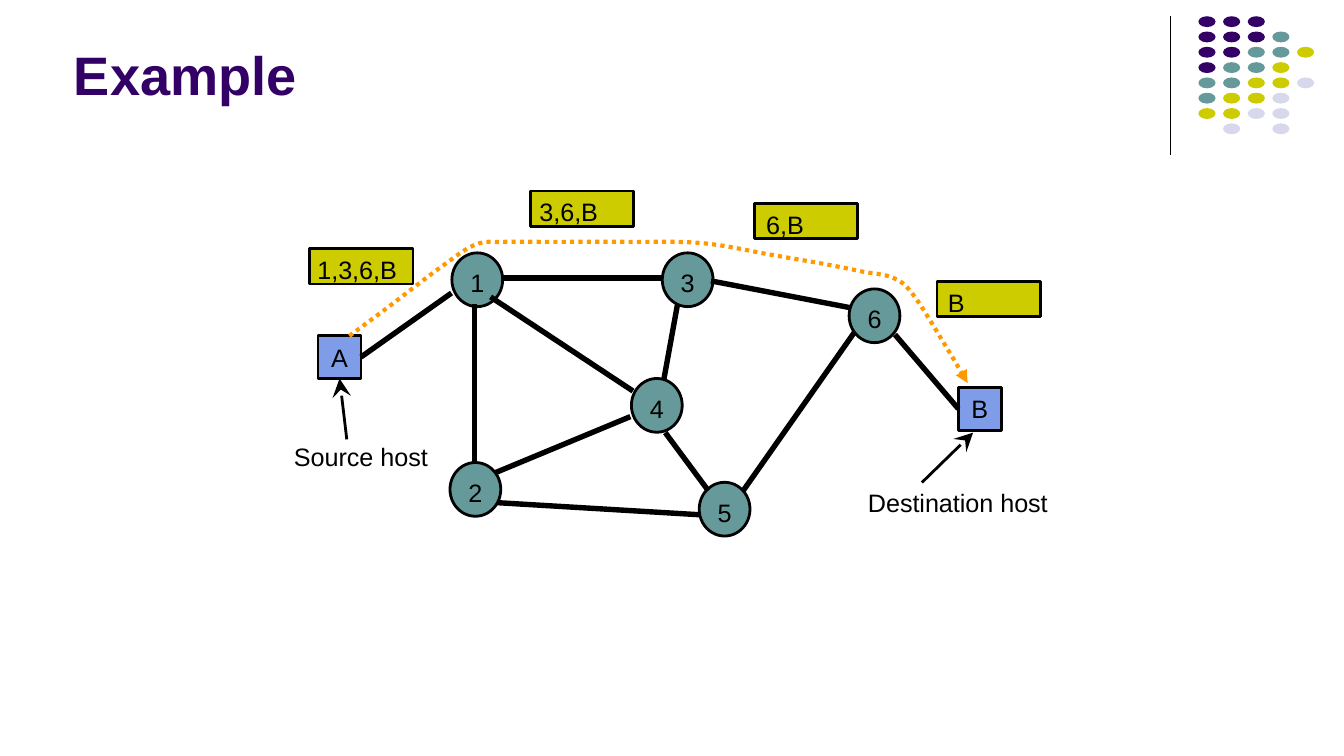
import pptx
import pptx.dml.color
import pptx.enum.dml
import pptx.enum.shapes
import pptx.enum.text
import pptx.oxml
import pptx.oxml.ns
import pptx.util

Pt = pptx.util.Pt
Shape = pptx.enum.shapes.MSO_SHAPE
Align = pptx.enum.text.PP_ALIGN
Anchor = pptx.enum.text.MSO_ANCHOR

COLORS = {
    "black": "000000",
    "purple": "330066",
    "teal": "669999",
    "lime": "CCCC00",
    "pale": "D8D8EC",
    "blue": "7E9CE8",
    "orange": "FF9900",
}
DOTS = ["PPP", "PPPT", "PPTTL", "PTTL", "TTLLG", "TLLG", "LLGG", " G G"]
DOT_KEYS = {"P": "purple", "T": "teal", "L": "lime", "G": "pale"}

NODES = [  # label, left, top
    ("1", 242.1, 135.5), ("2", 241.1, 247.8), ("3", 354.8, 135.5),
    ("4", 338.3, 202.8), ("5", 374.6, 258.4), ("6", 454.9, 154.8),
]
HOSTS = [("A", 170.4, 179.8), ("B", 513.4, 207.5)]
PACKETS = [  # route, left, top, inset
    ("1,3,6,B", 165.7, 133.2, 4.3), ("3,6,B", 284, 102.4, 5),
    ("6,B", 404, 109, 6.5), ("B", 502, 150.8, 5.8),
]
EDGES = [
    (269.3, 149, 354.2, 149), (362.9, 163.4, 355.7, 203),
    (356.4, 231.8, 379.4, 262.8), (380.9, 150.5, 455.8, 164.9),
    (398.2, 262.8, 457.9, 177.8), (375.1, 275.8, 266.4, 269.3),
    (254.2, 162.7, 254.2, 248.4), (262.8, 159.1, 339.1, 209.5),
    (337.7, 223.2, 265, 253.4),
]
ROUTE = [
    (187.2, 180), (206.6, 165.6), (236.9, 142.6), (254.9, 131),
    (270, 129.6), (293.8, 129.6), (337, 129.6), (376.6, 130.3),
    (414.7, 136.8), (443.5, 141.8), (461.5, 145.4), (478.8, 149),
    (489.6, 158.4), (506.9, 185.8), (518.4, 205.2),
]


def rgb(key):
    return pptx.dml.color.RGBColor.from_string(COLORS[key])


def style(runs, size=13.5, key="black", bold=False):
    for run in runs:
        run.font.name = "Arial"
        run.font.size = Pt(size)
        run.font.bold = bold
        run.font.color.rgb = rgb(key)


def block(slide, kind, box, key, line=None):
    shape = slide.shapes.add_shape(kind, *map(Pt, box))
    shape.shadow.inherit = False
    shape.fill.solid()
    shape.fill.fore_color.rgb = rgb(key)
    if line:
        shape.line.color.rgb = rgb("black")
        shape.line.width = Pt(line)
    else:
        shape.line.fill.background()
    return shape


def write(shape, text, align=Align.CENTER, left=0, top=0):
    frame = shape.text_frame
    frame.margin_left, frame.margin_top = Pt(left), Pt(top)
    frame.margin_right = frame.margin_bottom = 0
    frame.vertical_anchor = Anchor.MIDDLE
    frame.word_wrap = False
    frame.text = text
    frame.paragraphs[0].alignment = align
    style(frame.paragraphs[0].runs)


def note(slide, text, box):
    write(slide.shapes.add_textbox(*map(Pt, box)), text, Align.LEFT)


def tip(shape, kind, size):
    """Add an arrowhead at the end of a line."""
    end = pptx.oxml.parse_xml(
        f'<a:tailEnd {pptx.oxml.ns.nsdecls("a")} type="{kind}" '
        f'w="{size}" len="{size}"/>')
    shape.line._get_or_add_ln().append(end)


def link(slide, ends, width=2.88):
    line = slide.shapes.add_connector(
        pptx.enum.shapes.MSO_CONNECTOR.STRAIGHT, *map(Pt, ends))
    line.line.color.rgb = rgb("black")
    line.line.width = Pt(width)
    line._element.spPr.append(pptx.oxml.parse_xml(
        f'<a:effectLst {pptx.oxml.ns.nsdecls("a")}/>'))
    return line


def arrow(slide, ends):
    line = link(slide, ends, 1.5)
    tip(line, "stealth", "lg")
    return line


def smooth(knots, steps=8):
    """Sample a Catmull-Rom curve through the knots."""
    ends = [knots[0], *knots, knots[-1]]
    spots = [knots[0]]
    for a, b, c, d in zip(ends, ends[1:], ends[2:], ends[3:]):
        for i in range(1, steps + 1):
            t = i / steps
            spots.append(tuple(
                q + t * (r - p) / 2
                + t * t * (2 * p - 5 * q + 4 * r - s) / 2
                + t ** 3 * (3 * q - p - 3 * r + s) / 2
                for p, q, r, s in zip(a, b, c, d)))
    return [(Pt(x), Pt(y)) for x, y in spots]


def route(slide):
    spots = smooth(ROUTE)
    pen = slide.shapes.build_freeform(*spots[0])
    pen.add_line_segments(spots[1:], close=False)
    path = pen.convert_to_shape()
    path.shadow.inherit = False
    path.fill.background()
    path.line.color.rgb = rgb("orange")
    path.line.width = Pt(2.25)
    path.line.dash_style = pptx.enum.dml.MSO_LINE.ROUND_DOT
    tip(path, "triangle", "med")


def dots(slide):
    for row, keys in enumerate(DOTS):
        for col, key in enumerate(keys):
            if key in DOT_KEYS:
                box = (642 + 13.2 * col, 8.7 + 8.2 * row, 9.2, 5.8)
                block(slide, Shape.OVAL, box, DOT_KEYS[key])


def title(slide, text):
    head = slide.shapes.title
    head.left, head.top, head.width, head.height = map(Pt, (32.4, 0, 419, 60.5))
    frame = head.text_frame
    frame.vertical_anchor = Anchor.BOTTOM
    frame.text = text
    frame.paragraphs[0].alignment = Align.LEFT
    style(frame.paragraphs[0].runs, 29, "purple", True)


def graph(slide):
    for text, x, y, inset in PACKETS:
        card = block(slide, Shape.RECTANGLE, (x, y, 55.6, 19), "lime", 1.5)
        write(card, text, Align.LEFT, inset, 3)
    for text, x, y in NODES:
        node = block(slide, Shape.OVAL, (x, y, 27.2, 28.8), "teal", 1.5)
        write(node, text, top=3)
    for ends in EDGES:
        link(slide, ends)
    hosts = {}
    for text, x, y in HOSTS:
        hosts[text] = block(slide, Shape.RECTANGLE, (x, y, 23, 23), "blue", 1.5)
        write(hosts[text], text)

    link(slide, (193.4, 191.3, 241.9, 157)).begin_connect(hosts["A"], 3)
    link(slide, (479.5, 179.3, 513.4, 219)).end_connect(hosts["B"], 1)
    arrow(slide, (185.8, 235.4, 181.9, 202.8)).end_connect(hosts["A"], 2)
    arrow(slide, (493.9, 258.5, 521.3, 231.8))
    note(slide, "Source host", (157.5, 236.5, 72.7, 16.6))
    note(slide, "Destination host", (465, 260.8, 98, 16.6))
    route(slide)


def main():
    deck = pptx.Presentation()
    deck.slide_width, deck.slide_height = Pt(720), Pt(405)
    slide = deck.slides.add_slide(deck.slide_layouts[5])
    link(slide, (627.1, 8.6, 627.1, 82.8), 0.75)
    dots(slide)
    graph(slide)
    title(slide, "Example")
    deck.save("out.pptx")


if __name__ == "__main__":
    main()
